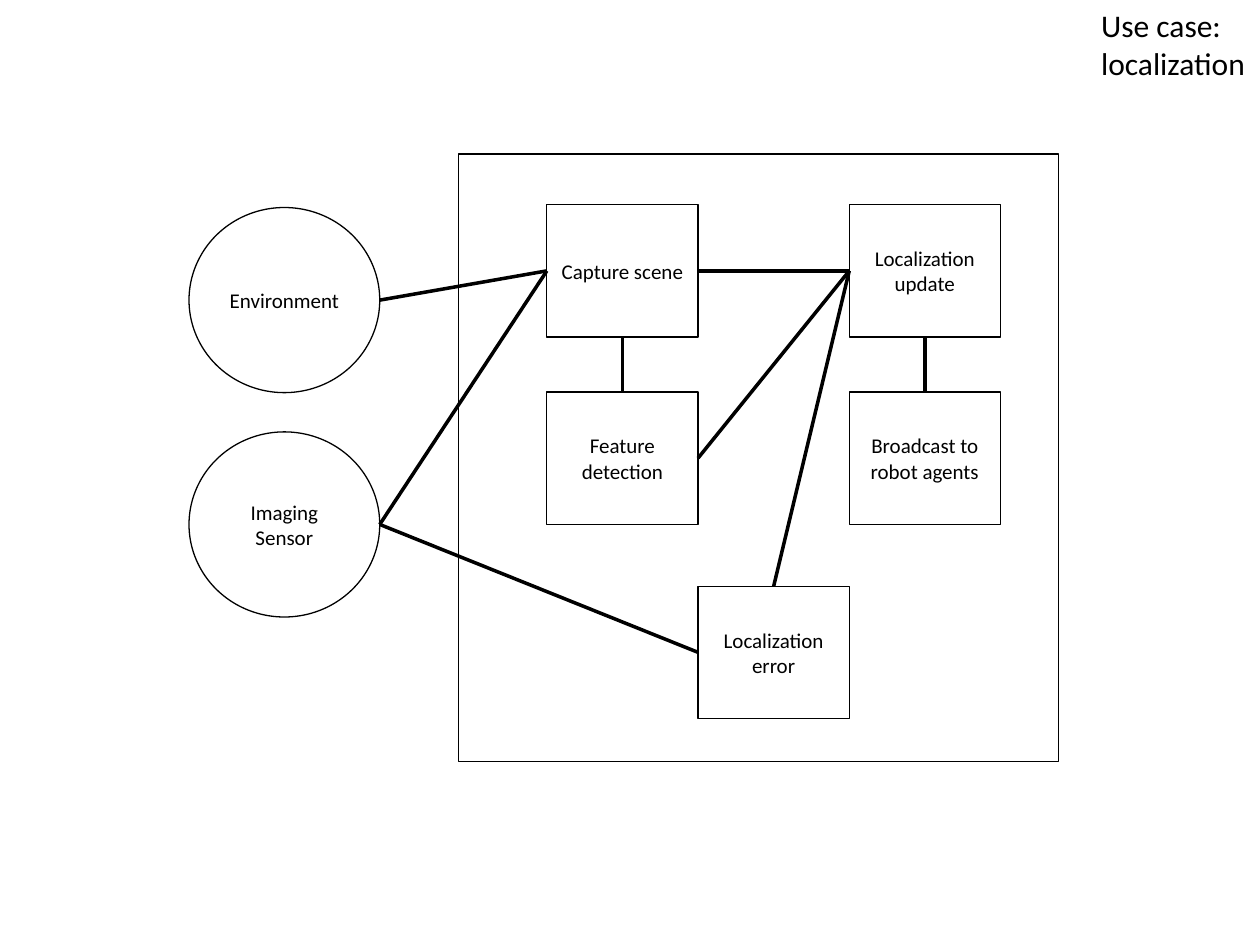
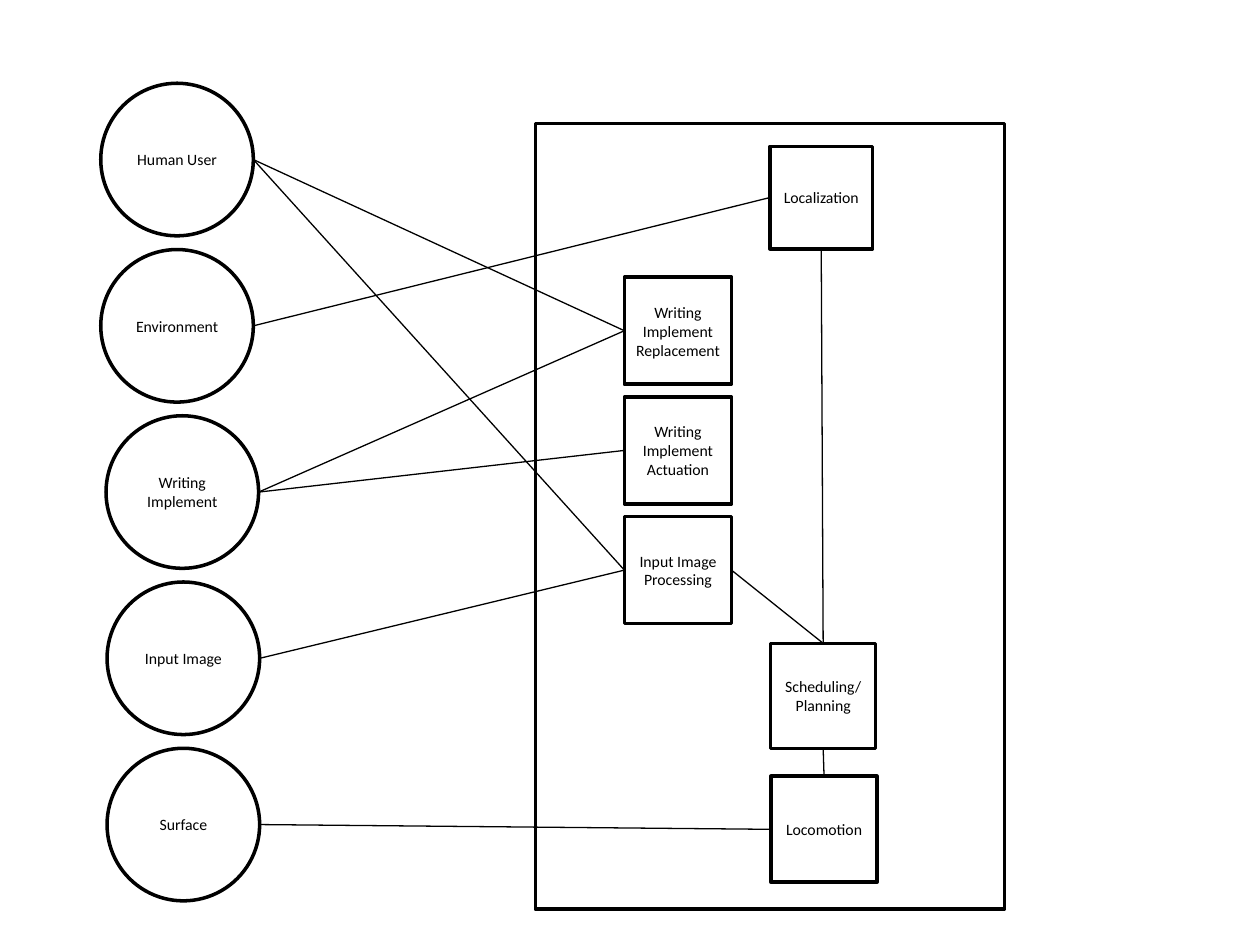
"""Build two use case diagrams: localization, and the whole drawing robot."""
from dataclasses import dataclass
from enum import IntEnum

import lxml.etree
import pptx
import pptx.dml.color
import pptx.enum.shapes
import pptx.enum.text
import pptx.oxml.ns
import pptx.util

Pt = pptx.util.Pt
OVAL = pptx.enum.shapes.MSO_SHAPE.OVAL
RECTANGLE = pptx.enum.shapes.MSO_SHAPE.RECTANGLE
ALIGN = pptx.enum.text.PP_ALIGN
ANCHOR = pptx.enum.text.MSO_ANCHOR

COLORS = {"ink": "000000", "paper": "FFFFFF"}
FONT = "Calibri"
THIN, THICK = 0.75, 2
TITLE_ONLY, BLANK = 5, 6


class Side(IntEnum):
    """Connection sites of a rectangle, in their preset order."""
    TOP = 0
    LEFT = 1
    BOTTOM = 2
    RIGHT = 3


@dataclass(frozen=True)
class Node:
    """An actor (oval) or a use case (rectangle), in points."""
    label: str
    left: float
    top: float
    width: float
    height: float
    outline: pptx.enum.shapes.MSO_SHAPE = RECTANGLE

    def anchor(self, side: Side) -> tuple[float, float]:
        """Return the middle of one side."""
        across, down = {Side.TOP: (0.5, 0), Side.LEFT: (0, 0.5),
                        Side.BOTTOM: (0.5, 1), Side.RIGHT: (1, 0.5)}[side]
        return self.left + across * self.width, self.top + down * self.height


@dataclass(frozen=True)
class Link:
    """A line between the sides of two nodes, which are named by label."""
    start: str
    end: str
    start_side: Side = Side.RIGHT
    end_side: Side = Side.LEFT


@dataclass(frozen=True)
class Style:
    """What the nodes and lines of one diagram have in common."""
    node_line: float
    link_line: float
    text_size: float
    insets: tuple[float, float]
    filled: bool


def color(name: str) -> pptx.dml.color.RGBColor:
    """Look up a palette colour."""
    return pptx.dml.color.RGBColor.from_string(COLORS[name])


def write_text(shape, text: str, *, size: float, align=ALIGN.CENTER,
               anchor=ANCHOR.MIDDLE, insets=(7.2, 3.6), wrap=True) -> None:
    """Fill a shape with text, one paragraph for each line."""
    frame = shape.text_frame
    frame.text = text
    frame.word_wrap = wrap
    frame.vertical_anchor = anchor
    frame.margin_left = frame.margin_right = Pt(insets[0])
    frame.margin_top = frame.margin_bottom = Pt(insets[1])
    for paragraph in frame.paragraphs:
        paragraph.alignment = align
        for run in paragraph.runs:
            run.font.name = FONT
            run.font.size = Pt(size)
            run.font.color.rgb = color("ink")


def add_title(slide, text: str) -> None:
    """Put the title in the top right corner."""
    title = slide.shapes.title
    title.left, title.top, title.width, title.height = Pt(622), Pt(0), Pt(98), Pt(51)
    write_text(title, text, size=18, align=ALIGN.LEFT, anchor=ANCHOR.TOP, wrap=False)
    title.text_frame.auto_size = pptx.enum.text.MSO_AUTO_SIZE.SHAPE_TO_FIT_TEXT


def add_node(slide, node: Node, style: Style):
    """Draw one outlined node and its label."""
    shape = slide.shapes.add_shape(node.outline, Pt(node.left), Pt(node.top),
                                   Pt(node.width), Pt(node.height))
    shape.shadow.inherit = False
    if style.filled and node.label:
        shape.fill.solid()
        shape.fill.fore_color.rgb = color("paper")
    else:
        shape.fill.background()
    shape.line.color.rgb = color("ink")
    shape.line.width = Pt(style.node_line)
    if node.label:
        write_text(shape, node.label, size=style.text_size, insets=style.insets)
    return shape


def add_link(slide, link: Link, nodes: dict, shapes: dict, style: Style) -> None:
    """Draw a line between two nodes and attach it to the rectangles."""
    points = (*nodes[link.start].anchor(link.start_side),
              *nodes[link.end].anchor(link.end_side))
    line = slide.shapes.add_connector(pptx.enum.shapes.MSO_CONNECTOR.STRAIGHT,
                                      *(Pt(value) for value in points))
    if nodes[link.start].outline == RECTANGLE:
        line.begin_connect(shapes[link.start], int(link.start_side))
    line.end_connect(shapes[link.end], int(link.end_side))
    line.line.color.rgb = color("ink")
    line.line.width = Pt(style.link_line)
    lxml.etree.SubElement(line._element.spPr, pptx.oxml.ns.qn("a:effectLst"))


def draw_diagram(slide, system: Node, nodes: list[Node], links: list[Link],
                 style: Style) -> None:
    """Draw the system boundary, its nodes and the links between them."""
    add_node(slide, system, style)
    by_label = {node.label: node for node in nodes}
    shapes = {node.label: add_node(slide, node, style) for node in nodes}
    for link in links:
        add_link(slide, link, by_label, shapes, style)


def build_localization(deck) -> None:
    """Build the use case of localization."""
    slide = deck.slides.add_slide(deck.slide_layouts[TITLE_ONLY])
    add_title(slide, "Use case:\nlocalization")
    width, height = 86.4, 75.6
    columns = [312.5 + width * i for i in range(3)]
    rows = [117, 224, 335]
    actors = [Node(label, 108, top, 109, 105.8, OVAL)
              for label, top in (("Environment", 118.6), ("Imaging Sensor", 246.8))]
    cases = [Node(label, columns[column], rows[row], width, height)
             for label, column, row in (("Capture scene", 0, 0),
                                        ("Feature detection", 0, 1),
                                        ("Localization error", 1, 2),
                                        ("Localization update", 2, 0),
                                        ("Broadcast to robot agents", 2, 1))]
    links = [
        Link("Environment", "Capture scene"),
        Link("Imaging Sensor", "Capture scene"),
        Link("Imaging Sensor", "Localization error"),
        Link("Capture scene", "Localization update"),
        Link("Feature detection", "Localization update"),
        Link("Localization update", "Localization error", Side.LEFT, Side.TOP),
        Link("Capture scene", "Feature detection", Side.BOTTOM, Side.TOP),
        Link("Localization update", "Broadcast to robot agents", Side.BOTTOM, Side.TOP),
    ]
    draw_diagram(slide, Node("", 262, 88, 343, 347), actors + cases, links,
                 Style(THIN, THICK, 12, (7.2, 3.6), False))


def build_robot(deck) -> None:
    """Build the overview of the actors and use cases of the robot."""
    slide = deck.slides.add_slide(deck.slide_layouts[BLANK])
    replacement = "Writing Implement\nReplacement"
    actuation, processing = "Writing Implement Actuation", "Input Image Processing"
    planning = "Scheduling/ Planning"
    actor_lefts = {"Human User": 57.6, "Environment": 57.6, "Writing Implement": 60.6,
                   "Input Image": 61.2, "Surface": 61.2}
    actors = [Node(label, left, 47.6 + 95 * i, 87.2, 87.2, OVAL)
              for i, (label, left) in enumerate(actor_lefts.items())]
    cases = [Node(label, 356.8, 158.4 + 68.4 * i, 61.2, 61.2)
             for i, label in enumerate((replacement, actuation, processing))]
    cases += [Node(label, left, top, size, size)
              for label, left, top, size in (("Localization", 440, 83.6, 58.6),
                                             (planning, 440.4, 367.6, 60),
                                             ("Locomotion", 440.6, 443.6, 60.6))]
    links = [
        Link("Human User", replacement),
        Link("Human User", processing),
        Link("Environment", "Localization"),
        Link("Writing Implement", replacement),
        Link("Writing Implement", actuation),
        Link("Input Image", processing),
        Link("Surface", "Locomotion"),
        Link("Localization", planning, Side.BOTTOM, Side.TOP),
        Link(processing, planning, Side.RIGHT, Side.TOP),
        Link(planning, "Locomotion", Side.BOTTOM, Side.TOP),
    ]
    draw_diagram(slide, Node("", 306, 70.6, 268, 449), actors + cases, links,
                 Style(THICK, THIN, 9, (5, 2.9), True))


def main() -> None:
    """Build and save the deck."""
    deck = pptx.Presentation()
    deck.slide_width, deck.slide_height = Pt(720), Pt(540)
    build_localization(deck)
    build_robot(deck)
    deck.save("out.pptx")


main()
